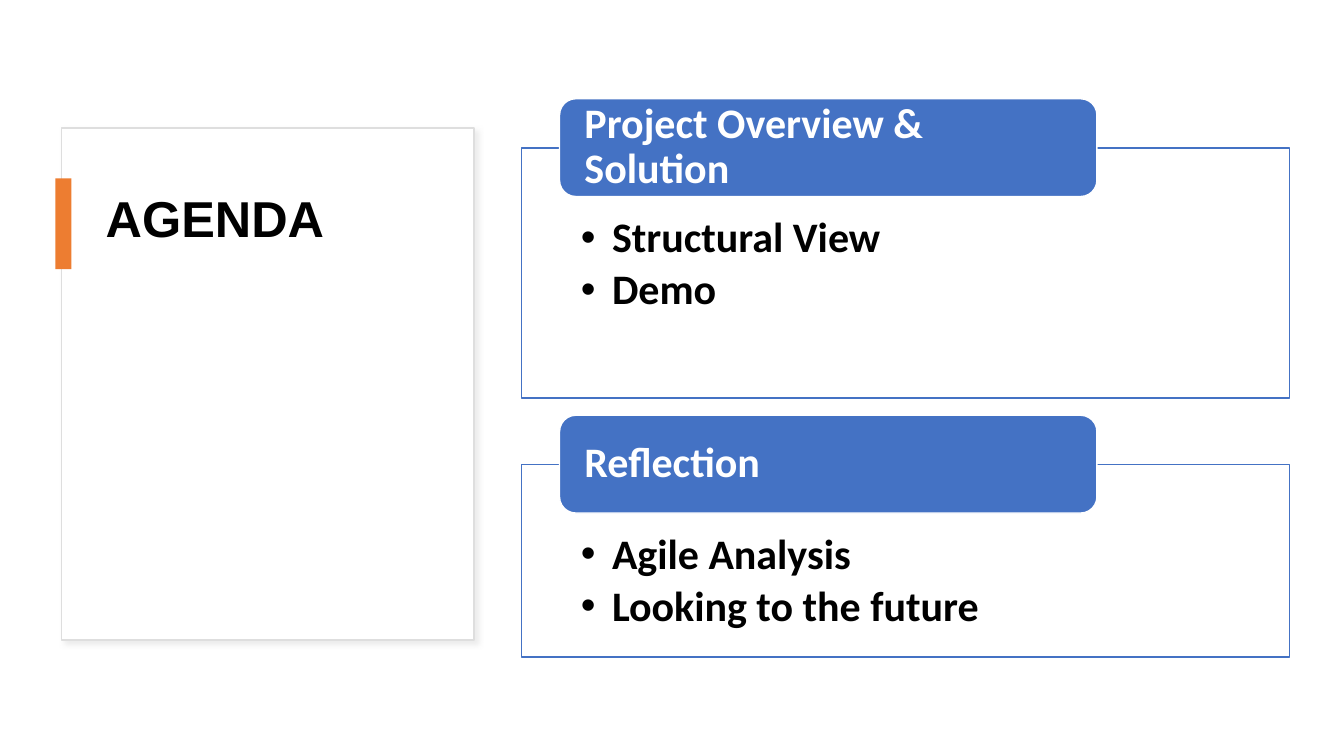
from dataclasses import dataclass

from lxml import etree
from pptx import Presentation
from pptx.dml.color import RGBColor
from pptx.enum.shapes import MSO_SHAPE
from pptx.enum.text import MSO_ANCHOR, PP_ALIGN
from pptx.oxml.ns import qn
from pptx.shapes.autoshape import Shape
from pptx.slide import Slide
from pptx.util import Pt

RECT = MSO_SHAPE.RECTANGLE
ROUNDED = MSO_SHAPE.ROUNDED_RECTANGLE
TOP = MSO_ANCHOR.TOP
MIDDLE = MSO_ANCHOR.MIDDLE
LEFT = PP_ALIGN.LEFT

EMU_PER_PX = 9144
COLORS = {
    "white": "FFFFFF",
    "black": "000000",
    "blue": "4472C4",
    "orange": "ED7D31",
    "card_edge": "DEDEDE",
    "card_shadow": "D9D9D9",
}

PANEL_LEFT, PANEL_WIDTH = 517, 762
HEADER_LEFT, HEADER_WIDTH, HEADER_HEIGHT = 555, 533, 97
HEADER_RISE = 49
BULLET_INDENT = 31


@dataclass(frozen=True)
class Section:
    heading: str
    topics: tuple[str, ...]
    top: int
    height: int


SECTIONS = (
    Section("Project Overview & Solution", ("Structural View", "Demo"), 147, 248),
    Section("Reflection", ("Agile Analysis", "Looking to the future"), 461, 191),
)


def px(length: int) -> int:
    return length * EMU_PER_PX


def rgb(name: str) -> RGBColor:
    return RGBColor.from_string(COLORS[name])


def add_block(slide: Slide, box: tuple[int, int, int, int], fill: str, *,
              kind: MSO_SHAPE = RECT, line: str | None = None,
              opacity: int = 100) -> Shape:
    block = slide.shapes.add_shape(kind, *map(px, box))
    block.shadow.inherit = False
    block.fill.solid()
    block.fill.fore_color.rgb = rgb(fill)
    if opacity < 100:
        color = block._element.spPr.find(f"{qn('a:solidFill')}/{qn('a:srgbClr')}")
        etree.SubElement(color, qn("a:alpha"), val=str(opacity * 1000))
    if line:
        block.line.color.rgb = rgb(line)
        block.line.width = Pt(1)
    else:
        block.line.fill.background()
    return block


def add_soft_shadow(block: Shape) -> None:
    effects = block._element.spPr.find(qn("a:effectLst"))
    shadow = etree.SubElement(
        effects, qn("a:outerShdw"), blurRad=str(Pt(4)), dist=str(Pt(3)),
        dir=str(45 * 60000), algn="tl", rotWithShape="0")
    color = etree.SubElement(shadow, qn("a:srgbClr"), val=COLORS["card_shadow"])
    etree.SubElement(color, qn("a:alpha"), val="50000")


def write_text(holder: Shape, lines: tuple[str, ...], *, color: str,
               size: int = 30, font: str = "Calibri",
               insets: tuple[int, int, int, int] = (10, 5, 10, 5),
               anchor: MSO_ANCHOR = TOP, space_after: float = 0,
               bulleted: bool = False) -> None:
    frame = holder.text_frame
    frame.word_wrap = True
    frame.vertical_anchor = anchor
    (frame.margin_left, frame.margin_top,
     frame.margin_right, frame.margin_bottom) = map(px, insets)
    for index, line in enumerate(lines):
        paragraph = frame.add_paragraph() if index else frame.paragraphs[0]
        paragraph.alignment = LEFT
        paragraph.line_spacing = 0.9
        paragraph.space_after = Pt(space_after)
        if bulleted:
            paragraph.level = 1
            properties = paragraph._p.get_or_add_pPr()
            properties.set("marL", str(px(BULLET_INDENT)))
            properties.set("indent", str(-px(BULLET_INDENT)))
            etree.SubElement(properties, qn("a:buFont"), typeface="Arial")
            etree.SubElement(properties, qn("a:buChar"), char="•")
        run = paragraph.add_run()
        run.text = line
        run.font.name = font
        run.font.size = Pt(size)
        run.font.bold = True
        run.font.color.rgb = rgb(color)


def add_title_card(slide: Slide) -> None:
    card = add_block(slide, (61, 127, 409, 508), "white", line="card_edge")
    add_soft_shadow(card)
    title = slide.shapes.add_textbox(*map(px, (95, 188, 339, 385)))
    write_text(title, ("AGENDA",), color="black", size=36, font="Arial")
    add_block(slide, (55, 177, 16, 90), "orange")


def add_section(slide: Slide, section: Section) -> None:
    panel = add_block(
        slide, (PANEL_LEFT, section.top, PANEL_WIDTH, section.height),
        "white", line="blue", opacity=90)
    write_text(panel, section.topics, color="black", insets=(59, 68, 59, 23),
               space_after=4.5, bulleted=True)
    header = add_block(
        slide,
        (HEADER_LEFT, section.top - HEADER_RISE, HEADER_WIDTH, HEADER_HEIGHT),
        "blue", kind=ROUNDED, line="white")
    write_text(header, (section.heading,), color="white",
               insets=(20, 0, 20, 0), anchor=MIDDLE)


def main() -> None:
    presentation = Presentation()
    presentation.slide_width = px(1333)
    presentation.slide_height = px(750)
    slide = presentation.slides.add_slide(presentation.slide_layouts[6])
    add_title_card(slide)
    for section in SECTIONS:
        add_section(slide, section)
    presentation.save("out.pptx")


if __name__ == "__main__":
    main()
